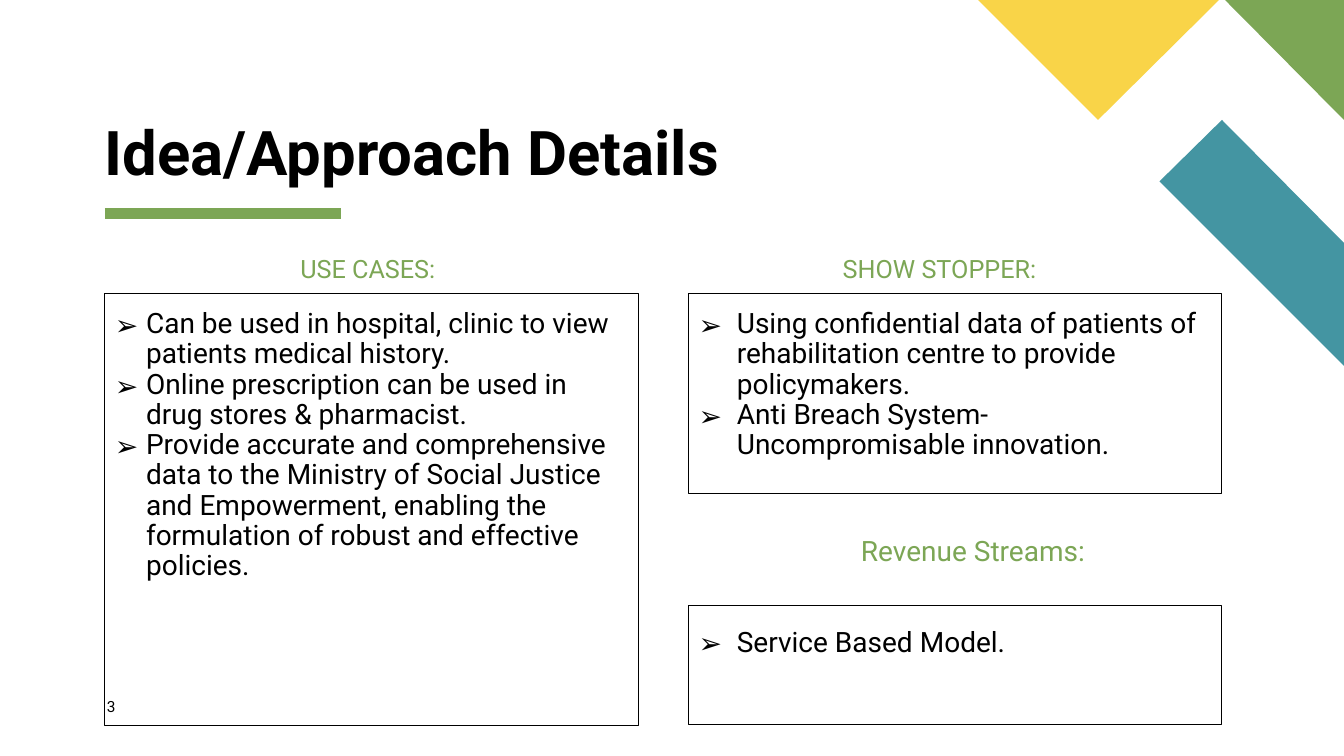
from lxml import etree
from pptx import Presentation
from pptx.dml.color import RGBColor
from pptx.enum.shapes import MSO_CONNECTOR, MSO_SHAPE
from pptx.enum.text import MSO_ANCHOR, PP_ALIGN
from pptx.oxml.ns import qn
from pptx.util import Inches, Pt

COLORS = {"green": "7CA655", "teal": "4495A2", "yellow": "F9D448", "black": "000000"}
FONT = "Roboto"
PANEL_W = 5.29
LEFT_X, RIGHT_X = 1.04, 6.83


def rgb(name):
    return RGBColor.from_string(COLORS[name])


def write(tf, paragraphs, size=20, color="black", bold=False, spacing=0.9, after=0,
          insets=(0, 0, 0, 0), anchor=MSO_ANCHOR.TOP, indent=0, bullet=None):
    """Fill a text frame; with a bullet, the indent is a hanging one."""
    tf.word_wrap = True
    tf.vertical_anchor = anchor
    tf.margin_left, tf.margin_top, tf.margin_right, tf.margin_bottom = map(Inches, insets)
    for i, text in enumerate(paragraphs):
        p = tf.add_paragraph() if i else tf.paragraphs[0]
        p.alignment = PP_ALIGN.LEFT
        p.line_spacing = spacing
        p.space_after = Pt(after)
        r = p.add_run()
        r.text = text
        r.font.name, r.font.size, r.font.bold = FONT, Pt(size), bold
        r.font.color.rgb = rgb(color)
        pPr = p._p.get_or_add_pPr()
        pPr.set("marL", str(Inches(indent)))
        if bullet:
            pPr.set("indent", str(-Inches(indent)))
            etree.SubElement(pPr, qn("a:buFont")).set("typeface", "Noto Sans Symbols")
            etree.SubElement(pPr, qn("a:buChar")).set("char", bullet)


def add_text(s, box, text, **fmt):
    write(s.shapes.add_textbox(*map(Inches, box)).text_frame, [text], **fmt)


def add_decoration(s):
    """Place the coloured shapes in the top right corner."""
    polygons = [
        ("teal", [(13.33, 3.63), (13.33, 2.41), (12.12, 1.19), (11.5, 1.8)]),
        ("green", [(13.33, 1.19), (13.33, 0), (12.15, 0)]),
        ("yellow", [(9.7, 0), (10.89, 1.19), (12.09, 0)]),
    ]
    for color, points in polygons:
        start, *rest = [(Inches(x), Inches(y)) for x, y in points]
        builder = s.shapes.build_freeform(*start)
        builder.add_line_segments(rest, close=True)
        sp = builder.convert_to_shape()
        sp.shadow.inherit = False
        sp.fill.solid()
        sp.fill.fore_color.rgb = rgb(color)
        sp.line.fill.background()


def add_header(s, x, y, text):
    """Place the title and the thick rule below it."""
    add_text(s, (x, y, 6.32, 0.67), text, size=44, bold=True, anchor=MSO_ANCHOR.BOTTOM)
    rule_y = Inches(y + 0.92)
    rule = s.shapes.add_connector(MSO_CONNECTOR.STRAIGHT, Inches(x), rule_y,
                                  Inches(x + 2.34), rule_y)
    rule.line.color.rgb = rgb("green")
    rule.line.width = Pt(8)
    etree.SubElement(rule._element.spPr, qn("a:effectLst"))


def add_section(s, box, heading, items, heading_x, heading_gap=0.41, heading_size=18,
                **fmt):
    """Place a framed bullet list with its heading above."""
    x, y, w, h = box
    add_text(s, (x, y - heading_gap, w, 0.35), heading, size=heading_size, color="green",
             insets=(0.1, 0.05, 0.1, 0.05), indent=heading_x)
    sp = s.shapes.add_shape(MSO_SHAPE.RECTANGLE, *map(Inches, box))
    sp.shadow.inherit = False
    sp.fill.background()
    sp.line.color.rgb = rgb("black")
    sp.line.width = Pt(0.75)
    write(sp.text_frame, items, insets=(0.1, 0.16, 0.1, 0.05), bullet="➢", **fmt)


def main():
    prs = Presentation()
    prs.slide_width, prs.slide_height = Inches(13.33), Inches(7.5)
    s = prs.slides.add_slide(prs.slide_layouts[6])
    add_decoration(s)
    add_header(s, LEFT_X, 1.2, "Idea/Approach Details")
    add_section(s, (LEFT_X, 2.91, PANEL_W, 4.29), "USE CASES:", [
        "Can be used in hospital, clinic to view patients medical history.",
        "Online prescription can be used in drug stores & pharmacist.",
        "Provide accurate and comprehensive data to the Ministry of Social Justice and "
        "Empowerment, enabling the formulation of robust and effective policies.",
    ], heading_x=1.84, indent=0.31)
    add_section(s, (RIGHT_X, 2.91, PANEL_W, 1.99), "SHOW STOPPER:", [
        "Using confidential data of patients of rehabilitation centre to provide "
        "policymakers.",
        "Anti Breach System- Uncompromisable innovation.",
    ], heading_x=1.43, indent=0.38)
    add_section(s, (RIGHT_X, 6.01, PANEL_W, 1.18), "Revenue Streams:",
                ["Service Based Model."], heading_x=1.61, heading_gap=0.73,
                heading_size=20, indent=0.38, spacing=1.07, after=8)
    add_text(s, (1.06, 6.92, 0.57, 0.27), "3", size=11, spacing=1.0)
    prs.save("out.pptx")


if __name__ == "__main__":
    main()
